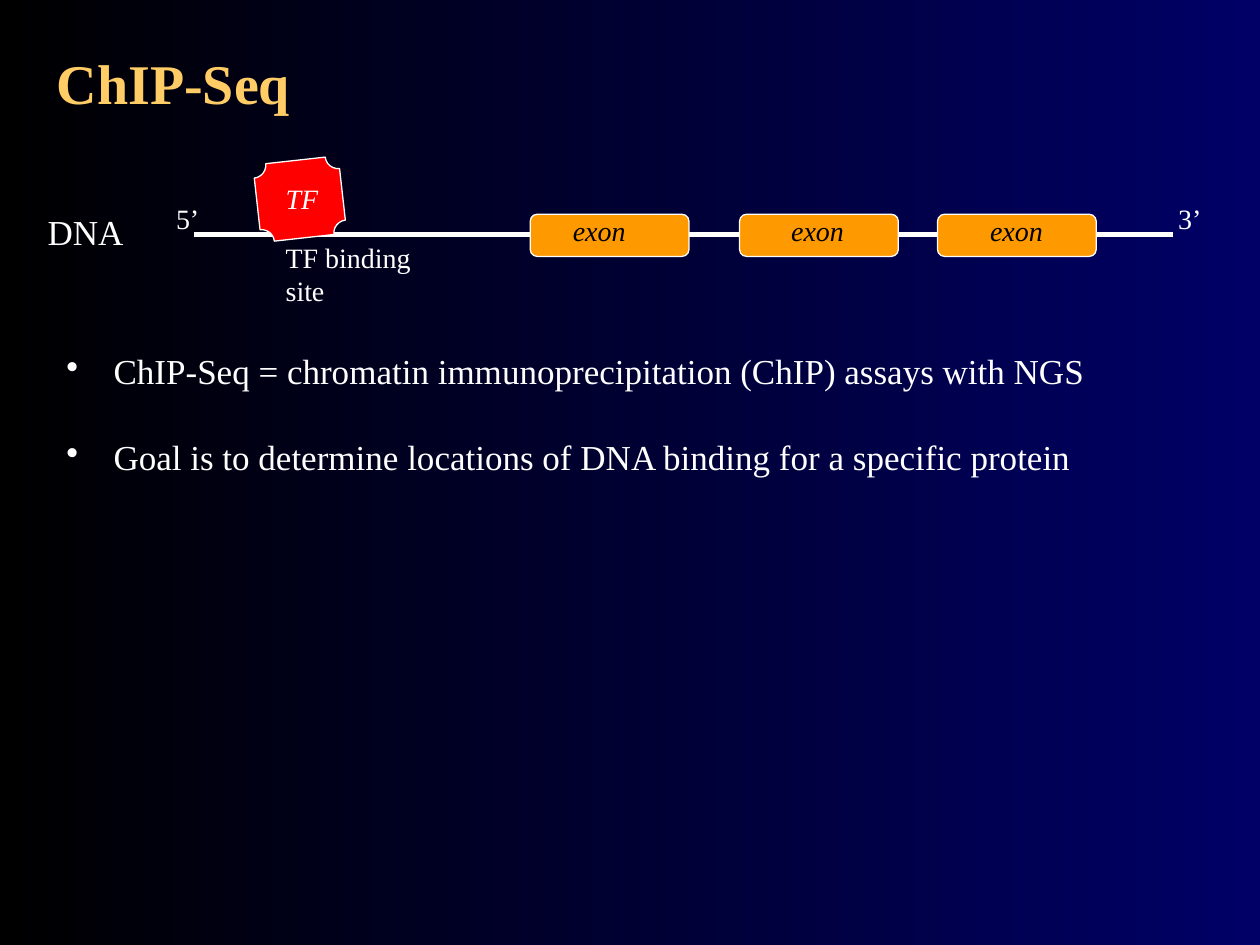
from dataclasses import dataclass

from lxml import etree
from pptx import Presentation
from pptx.dml.color import RGBColor
from pptx.enum import shapes, text
from pptx.oxml import ns
from pptx.util import Cm, Pt

BLACK = RGBColor(0x00, 0x00, 0x00)
NAVY = RGBColor(0x00, 0x00, 0x66)
WHITE = RGBColor(0xFF, 0xFF, 0xFF)
GOLD = RGBColor(0xFF, 0xCC, 0x66)
ORANGE = RGBColor(0xFF, 0x99, 0x00)
RED = RGBColor(0xFF, 0x00, 0x00)
FONT = "Times New Roman"
DNA_Y = 4.72


@dataclass(frozen=True)
class Label:
    words: str
    left: float
    top: float
    width: float
    height: float = 0.94
    size: int = 16
    color: RGBColor = WHITE
    italic: bool = False


@dataclass(frozen=True)
class Block:
    kind: int
    left: float
    top: float
    width: float
    height: float
    fill: RGBColor
    rotation: float = 0


@dataclass(frozen=True)
class Exon:
    left: float
    label_left: float


EXONS = [Exon(10.69, 11.3), Exon(14.91, 15.7), Exon(18.9, 19.71)]
LABELS = [
    Label("DNA", 0.71, 4.11, 3.4, 1.12, size=20),
    Label("5’", 3.3, 3.94, 1.19),
    Label("3’", 23.5, 3.94, 1.19),
    Label("TF binding site", 5.51, 4.72, 3.2, 1.63),
]
BULLETS = [
    "ChIP-Seq = chromatin immunoprecipitation (ChIP) assays with NGS",
    "Goal is to determine locations of DNA binding for a specific protein",
]


def style_runs(para, size: int, color: RGBColor, bold: bool = False, italic: bool = False) -> None:
    for span in para.runs:
        span.font.name = FONT
        span.font.size = Pt(size)
        span.font.color.rgb = color
        span.font.bold = bold
        span.font.italic = italic


def paint_background(page) -> None:
    fill = page.background.fill
    fill.gradient()
    fill.gradient_angle = 0
    for stop, color in zip(fill.gradient_stops, (BLACK, NAVY)):
        stop.color.rgb = color


def set_title(page, words: str) -> None:
    title = page.shapes.title
    title.left, title.top, title.width, title.height = Cm(0.89), Cm(-0.48), Cm(23.8), Cm(4.27)
    title.text_frame.text = words
    title.text_frame.vertical_anchor = text.MSO_ANCHOR.MIDDLE
    para = title.text_frame.paragraphs[0]
    para.alignment = text.PP_ALIGN.LEFT
    style_runs(para, 32, GOLD, bold=True)


def draw_label(page, label: Label) -> None:
    box = page.shapes.add_textbox(Cm(label.left), Cm(label.top), Cm(label.width), Cm(label.height))
    box.text_frame.word_wrap = True
    box.text_frame.text = label.words
    style_runs(box.text_frame.paragraphs[0], label.size, label.color, italic=label.italic)


def draw_block(page, block: Block) -> None:
    shape = page.shapes.add_shape(
        block.kind, Cm(block.left), Cm(block.top), Cm(block.width), Cm(block.height)
    )
    shape.shadow.inherit = False
    shape.rotation = block.rotation
    shape.fill.solid()
    shape.fill.fore_color.rgb = block.fill
    shape.line.color.rgb = WHITE
    shape.line.width = Pt(0.75)


def draw_strand(page) -> None:
    strand = page.shapes.add_connector(
        shapes.MSO_CONNECTOR.STRAIGHT, Cm(3.91), Cm(DNA_Y), Cm(23.65), Cm(DNA_Y)
    )
    strand.line.color.rgb = WHITE
    strand.line.width = Pt(3)
    etree.SubElement(strand._element.spPr, ns.qn("a:effectLst"))


def draw_bullets(page, lines: list[str]) -> None:
    box = page.shapes.add_textbox(Cm(1.09), Cm(6.93), Cm(23.19), Cm(2.82))
    box.text_frame.word_wrap = True
    box.text_frame.text = "\n".join(lines)
    for index, para in enumerate(box.text_frame.paragraphs):
        para.space_before = Pt(25 if index else 0)
        style_runs(para, 20, WHITE)
        properties = para._p.get_or_add_pPr()
        properties.set("marL", str(Cm(0.95)))
        properties.set("indent", str(Cm(-0.95)))
        etree.SubElement(properties, ns.qn("a:buChar")).set("char", "•")


def main() -> None:
    deck = Presentation()
    deck.slide_width, deck.slide_height = Cm(25.4), Cm(19.05)
    page = deck.slides.add_slide(deck.slide_layouts[5])
    paint_background(page)
    set_title(page, "ChIP-Seq")
    draw_bullets(page, BULLETS)
    draw_strand(page)
    for exon in EXONS:
        draw_block(page, Block(shapes.MSO_SHAPE.ROUNDED_RECTANGLE, exon.left, 4.32, 3.2, 0.85, ORANGE))
    for exon in EXONS:
        draw_label(page, Label("exon", exon.label_left, 4.19, 3.4, color=BLACK, italic=True))
    for label in LABELS:
        draw_label(page, label)
    draw_block(page, Block(shapes.MSO_SHAPE.PLAQUE, 5.18, 3.23, 1.73, 1.57, RED, rotation=353.6))
    draw_label(page, Label("TF", 5.51, 3.53, 3.4, italic=True))
    deck.save("out.pptx")


if __name__ == "__main__":
    main()
